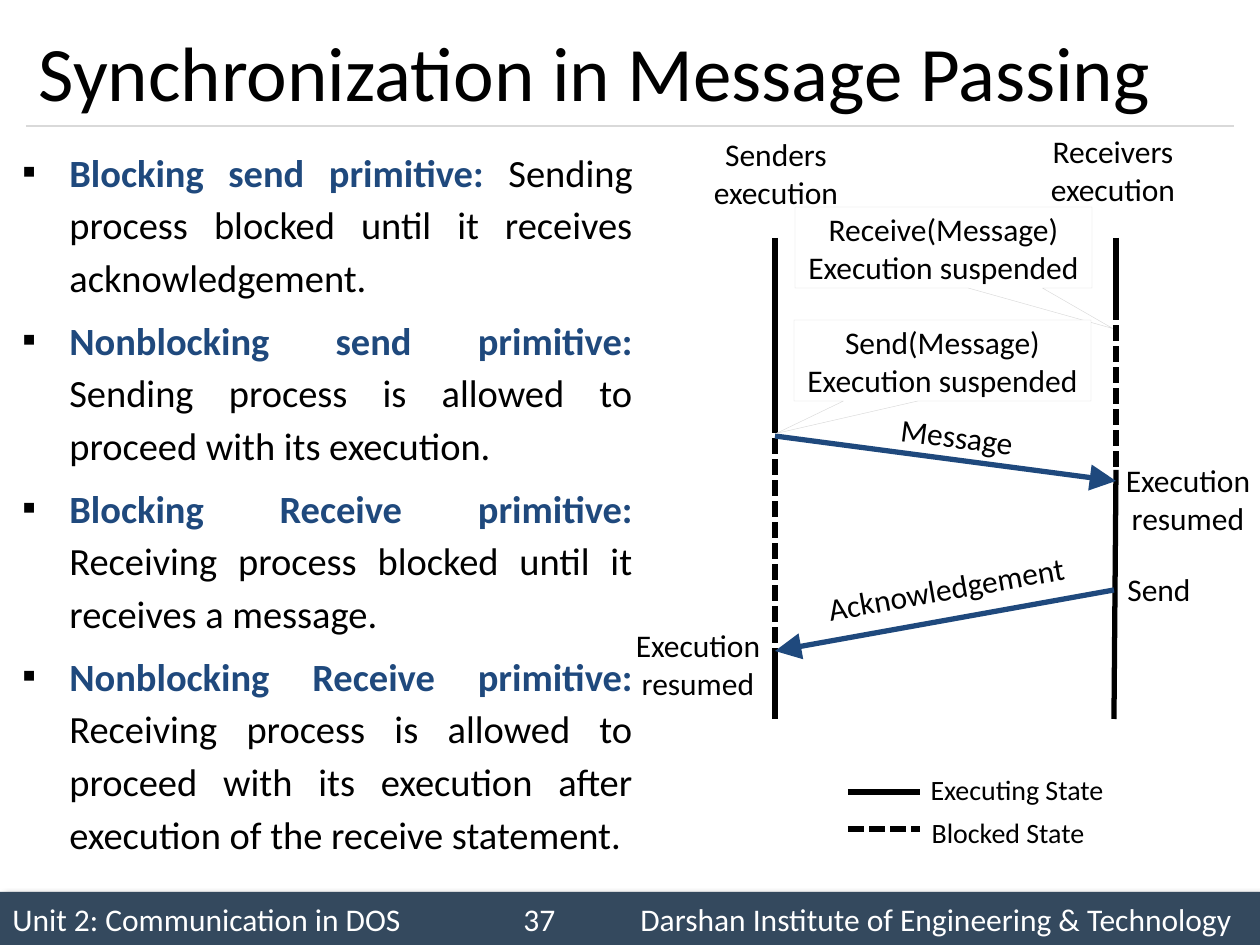
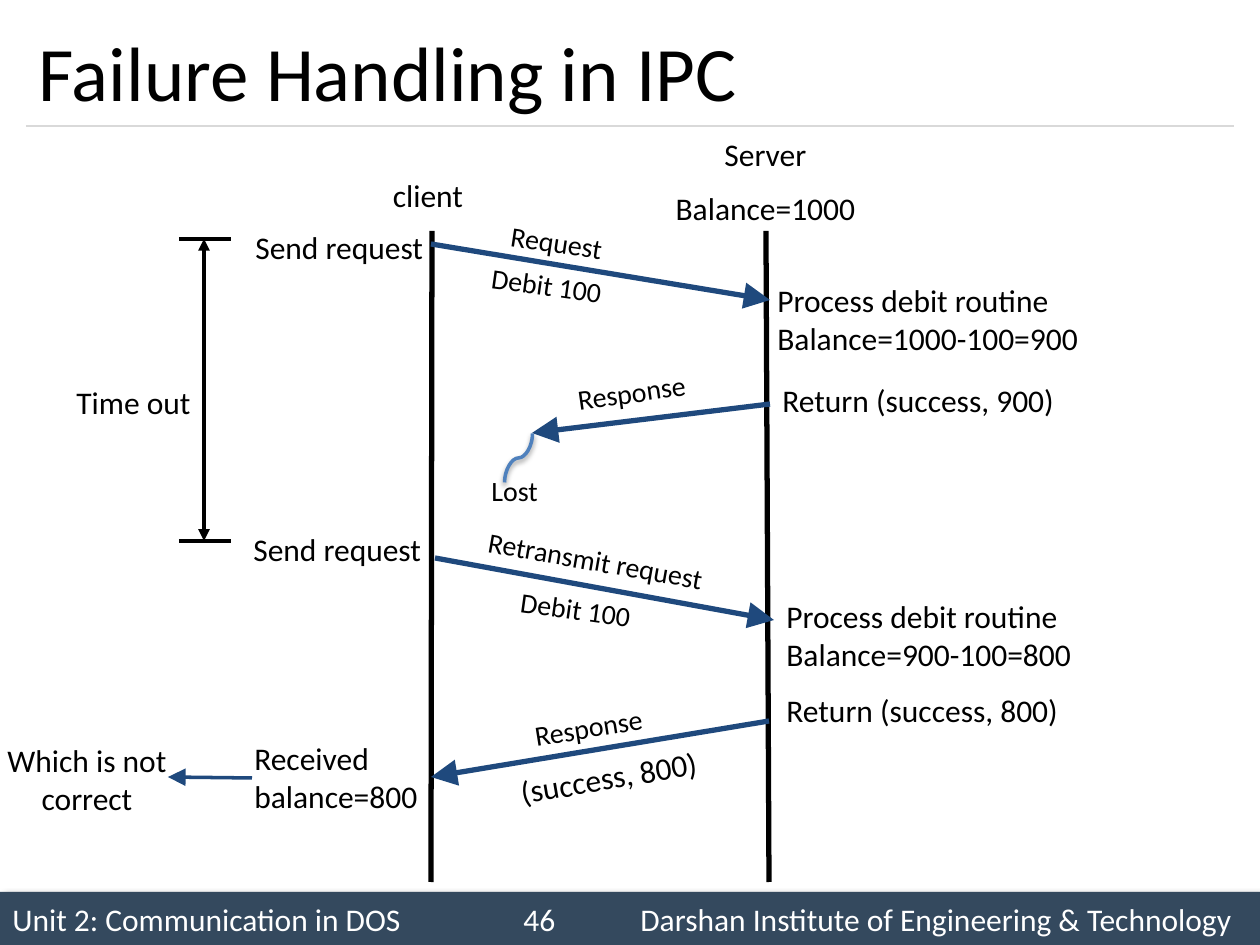
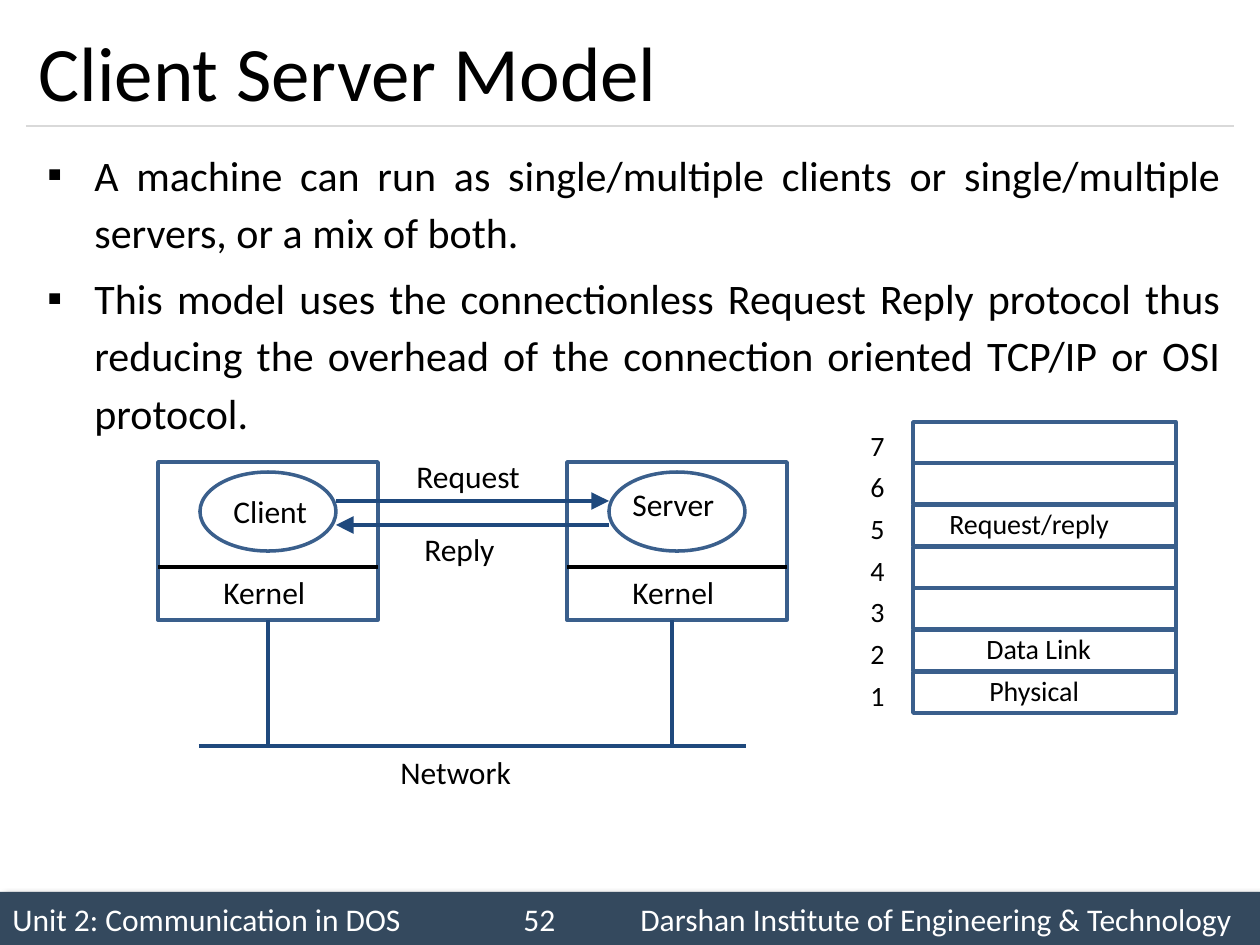
from dataclasses import dataclass
from typing import Any

import pptx
import pptx.dml.color
import pptx.enum.dml
import pptx.enum.shapes
import pptx.enum.text
import pptx.oxml
import pptx.oxml.ns
import pptx.util

RGBColor = pptx.dml.color.RGBColor
BLACK = RGBColor(0x00, 0x00, 0x00)
WHITE = RGBColor(0xFF, 0xFF, 0xFF)
BAND = RGBColor(0x34, 0x49, 0x5E)
RULE = RGBColor(0xD9, 0xD9, 0xD9)
NAVY = RGBColor(0x1F, 0x49, 0x7D)
OUTLINE = RGBColor(0x3A, 0x5F, 0x8C)
CURVE = RGBColor(0x4F, 0x81, 0xBD)

FONT = "Calibri"
UNIT = "Unit 2: Communication in DOS"
INSTITUTE = "Darshan Institute of Engineering & Technology"
SHAPE = pptx.enum.shapes.MSO_SHAPE
CONNECTOR = pptx.enum.shapes.MSO_CONNECTOR
ALIGN = pptx.enum.text.PP_ALIGN
MIDDLE = pptx.enum.text.MSO_ANCHOR.MIDDLE
DASH = pptx.enum.dml.MSO_LINE.SQUARE_DOT


def px(n):
    return round(n * 914400 / 126)


def add_xml(parent, xml):
    ns = pptx.oxml.ns.nsdecls("a")
    parent.append(pptx.oxml.parse_xml(xml.replace(" ", f" {ns} ", 1)))


def add_shadow(sp, blur, dist, degrees, alpha):
    spPr = sp._element.spPr
    for old in spPr.findall(pptx.oxml.ns.qn("a:effectLst")):
        spPr.remove(old)
    add_xml(spPr, f'<a:effectLst ><a:outerShdw blurRad="{round(blur * 12700)}" '
                  f'dist="{round(dist * 12700)}" dir="{degrees * 60000}" rotWithShape="0">'
                  f'<a:srgbClr val="000000"><a:alpha val="{alpha * 1000}"/></a:srgbClr>'
                  '</a:outerShdw></a:effectLst>')


def set_font(font, size, color=BLACK):
    font.name = FONT
    font.size = pptx.util.Pt(size)
    font.color.rgb = color


def write(tf, text, size, align, color=BLACK, gap=0, tabs=()):
    tf.word_wrap = True
    tf.text = text
    stops = "".join(f'<a:tab pos="{px(pos)}" algn="l"/>' for pos in tabs)
    for i, p in enumerate(tf.paragraphs):
        if stops:
            add_xml(p._p.get_or_add_pPr(), f"<a:tabLst >{stops}</a:tabLst>")
        p.alignment = align
        p.space_before = pptx.util.Pt(gap if i else 0)
        set_font(p.font, size, color)


@dataclass
class Region:
    slide: Any
    x: int
    y: int

    def at(self, x, y):
        return px(self.x + x), px(self.y + y)

    def label(self, text, x, y, w, h=50, size=18, align=ALIGN.CENTER, rot=0, gap=0):
        sp = self.slide.shapes.add_textbox(*self.at(x, y), px(w), px(h))
        sp.rotation = rot
        write(sp.text_frame, text, size, align, gap=gap)

    def left_label(self, text, x, y, w, h=50, size=18):
        self.label(text, x, y, w, h, size, ALIGN.LEFT)

    def shape(self, kind, x, y, w, h, fill=None, line=OUTLINE, width=2):
        sp = self.slide.shapes.add_shape(kind, *self.at(x, y), px(w), px(h))
        sp.shadow.inherit = False
        if fill is None:
            sp.fill.background()
        else:
            sp.fill.solid()
            sp.fill.fore_color.rgb = fill
        if line is None:
            sp.line.fill.background()
        else:
            sp.line.color.rgb = line
            sp.line.width = pptx.util.Pt(width)
        return sp

    def line(self, x1, y1, x2, y2, color=BLACK, width=3, dash=None, ends=(),
             head="med", kind=CONNECTOR.STRAIGHT):
        sp = self.slide.shapes.add_connector(kind, *self.at(x1, y1), *self.at(x2, y2))
        sp.line.color.rgb = color
        sp.line.width = pptx.util.Pt(width)
        if dash is not None:
            sp.line.dash_style = dash
        for end in ends:
            add_xml(sp.line._get_or_add_ln(),
                    f'<a:{end} type="triangle" w="{head}" len="{head}"/>')
        add_xml(sp._element.spPr, "<a:effectLst />")
        return sp

    def arrow(self, x1, y1, x2, y2, width=3):
        return self.line(x1, y1, x2, y2, NAVY, width, ends=("tailEnd",), head="lg")


def footer(slide, number):
    sp = Region(slide, 0, 892).shape(SHAPE.RECTANGLE, 0, 0, 1260, 53, BAND, None)
    add_shadow(sp, 4, 3, 45, 40)
    tf = sp.text_frame
    tf.vertical_anchor = MIDDLE
    write(tf, f"{UNIT}\t{number}\t{INSTITUTE}", 18, ALIGN.LEFT, WHITE, tabs=(511, 628))


def new_slide(prs, title, number):
    slide = prs.slides.add_slide(prs.slide_layouts[5])
    footer(slide, number)
    Region(slide, 26, 126).line(0, 0, 1208, 0, RULE, 0.75)
    sp = slide.shapes.title
    sp.left, sp.top, sp.width, sp.height = px(26), px(15), px(1208), px(111)
    tf = sp.text_frame
    tf.auto_size = pptx.enum.text.MSO_AUTO_SIZE.NONE
    tf.vertical_anchor = MIDDLE
    write(tf, title, 44, ALIGN.LEFT)
    return slide


def bullets(slide, x, y, w, h, items, size, gap):
    tf = slide.shapes.add_textbox(px(x), px(y), px(w), px(h)).text_frame
    tf.word_wrap = True
    for i, (lead, text) in enumerate(items):
        p = tf.add_paragraph() if i else tf.paragraphs[0]
        pPr = p._p.get_or_add_pPr()
        pPr.set("marL", str(px(47)))
        pPr.set("indent", str(px(-47)))
        add_xml(pPr, '<a:buClr ><a:srgbClr val="000000"/></a:buClr>')
        add_xml(pPr, f'<a:buFont typeface="{FONT}"/>')
        add_xml(pPr, '<a:buChar char="▪"/>')
        p.alignment = ALIGN.JUSTIFY
        p.line_spacing = 1.14
        p.space_before = pptx.util.Pt(gap if i else 0)
        set_font(p.font, size)
        if lead:
            r = p.add_run()
            r.text = lead + " "
            r.font.bold = True
            r.font.color.rgb = NAVY
        p.add_run().text = text


def callout(region, text, x, y, tip):
    sp = region.shape(SHAPE.RECTANGULAR_CALLOUT, x, y, 297, 81, WHITE, RULE, 0.25)
    sp.adjustments[0], sp.adjustments[1] = tip
    tf = sp.text_frame
    tf.vertical_anchor = MIDDLE
    tf.margin_left = tf.margin_right = px(8)
    write(tf, text, 18, ALIGN.CENTER)


def blocking_diagram(slide, x, y):
    d = Region(slide, x, y)
    sender, receiver = 175, 516
    d.label("Senders execution", 87, 3, 178, 89)
    d.label("Receivers execution", 424, 0, 178, 89)
    d.line(sender, 112, sender, 307)
    d.line(sender, 312, sender, 528, dash=DASH)
    d.line(sender, 528, sender, 593)
    d.line(receiver, 112, receiver, 178)
    d.line(receiver, 178, receiver, 344, dash=DASH)
    d.line(receiver, 344, receiver - 2, 593)
    d.arrow(sender, 310, receiver, 355)
    d.label("Message", 248, 285, 218, rot=7.4)
    d.arrow(receiver - 2, 464, sender, 525)
    d.label("Acknowledgement", 195, 437, 302, rot=-10.1)
    d.label("Execution resumed", 506, 329, 164, 89)
    d.label("Execution resumed", 16, 494, 164, 89)
    d.label("Send", 510, 438, 98)
    callout(d, "Receive(Message) Execution suspended", 195, 81, (0.57, 1))
    callout(d, "Send(Message) Execution suspended", 194, 194, (-0.56, 0.9))


def state_legend(slide, x, y):
    d = Region(slide, x, y)
    d.line(0, 26, 72, 26)
    d.label("Executing State", 34, 0, 270, 47, 16)
    d.line(0, 63, 72, 63, dash=DASH)
    d.label("Blocked State", 25, 43, 270, 47, 16)


def timeout_marker(slide, x, y):
    d = Region(slide, x, y)
    for bar in (0, 302):
        d.line(0, bar, 52, bar, width=2.25)
    d.line(25, 0, 25, 302, width=2.25, ends=("headEnd", "tailEnd"))
    d.left_label("Time out", -115, 138, 142)


def failure_diagram(slide, x, y):
    d = Region(slide, x, y)
    d.label("client", 339, 44, 178)
    d.label("Server\nBalance=1000", 638, 3, 255, 108, gap=9)
    d.line(432, 105, 431, 756)
    d.line(766, 105, 769, 756)

    for left, top in ((243, 96), (241, 398)):
        d.left_label("Send request", left, top, 238)
    for ends in ((431, 118, 770, 174), (770, 278, 532, 307),
                 (435, 432, 774, 494), (769, 595, 431, 651)):
        d.arrow(*ends)
    for text, left, top, w, rot in (
        ("Request", 454, 93, 205, 8.6),
        ("Debit 100", 444, 136, 205, 8),
        ("Response", 528, 243, 207, -8.1),
        ("Retransmit request", 462, 411, 267, 10),
        ("Debit 100", 473, 460, 205, 8),
        ("Response", 485, 578, 207, -9),
    ):
        d.label(text, left, top, w, 47, 16, rot=rot)
    d.label("(success, 800)", 502, 626, 213, rot=-9.7)

    lost = d.line(494, 318, 543, 346, CURVE, 2, kind=CONNECTOR.CURVE)
    lost._element.spPr.xfrm.set("rot", "5400000")
    add_shadow(lost, 3.1, 1.6, 90, 38)
    d.left_label("Lost", 479, 341, 118, 47, 16)

    d.left_label("Process debit routine\nBalance=1000-100=900", 765, 149, 340, 89)
    d.left_label("Return (success, 900)", 770, 249, 310)
    d.left_label("Process debit routine\nBalance=900-100=800", 774, 465, 340, 89)
    d.left_label("Return (success, 800)", 774, 559, 310)
    d.left_label("Received\nbalance=800", 242, 607, 200, 89)
    d.arrow(252, 652, 168, 651, 2)
    d.label("Which is not correct", -10, 609, 194, 89)


def machine(slide, x, y, name, name_x, name_y):
    d = Region(slide, x, y)
    box = d.shape(SHAPE.RECTANGLE, 0, 0, 220, 158)
    d.line(0, 105, 220, 105, width=2)
    d.shape(SHAPE.OVAL, 42, 10, 136, 79)
    d.left_label(name, name_x, name_y, 126)
    d.left_label("Kernel", 53, 105, 126)
    return box


def network_diagram(slide, x, y):
    client = machine(slide, x, y, "Client", 63, 24)
    machine(slide, x + 409, y, "Server", 53, 17)
    d = Region(slide, x, y)
    d.arrow(178, 39, 451, 39, 2)
    d.arrow(451, 63, 178, 63, 2)
    d.left_label("Request", 246, -11, 142)
    d.left_label("Reply", 254, 62, 126)
    drop = d.line(110, 158, 110, 284, NAVY, 2)
    drop.begin_connect(client, 2)
    d.line(514, 158, 514, 284, NAVY, 2)
    d.line(41, 284, 588, 284, NAVY, 2)
    d.left_label("Network", 230, 285, 142)


def layer_stack(slide, x, y):
    d = Region(slide, x, y)
    names = {5: ("Request/reply", 79), 2: ("Data Link", 116), 1: ("Physical", 119)}
    for i in range(7):
        top, level = i * 250 // 6, 7 - i
        d.shape(SHAPE.RECTANGLE, 55, top, 263, 41)
        d.left_label(str(level), 0, top, 37, 47, 16)
        if level in names:
            name, left = names[level]
            d.left_label(name, left, top - 5, 214, 47, 16)


def main():
    prs = pptx.Presentation()
    prs.slide_width, prs.slide_height = px(1260), px(945)

    slide = new_slide(prs, "Synchronization in Message Passing", 37)
    bullets(slide, 10, 136, 635, 735, [
        ("Blocking send primitive:",
         "Sending process blocked until it receives acknowledgement."),
        ("Nonblocking send primitive:",
         "Sending process is allowed to proceed with its execution."),
        ("Blocking Receive primitive:",
         "Receiving process blocked until it receives a message."),
        ("Nonblocking Receive primitive:",
         "Receiving process is allowed to proceed with its execution after "
         "execution of the receive statement."),
    ], 22, 5.8)
    blocking_diagram(slide, 600, 126)
    state_legend(slide, 848, 766)

    slide = new_slide(prs, "Failure Handling in IPC", 46)
    failure_diagram(slide, 0, 126)
    timeout_marker(slide, 179, 239)

    slide = new_slide(prs, "Client Server Model", 52)
    bullets(slide, 35, 136, 1198, 735, [
        ("", "A machine can run as single/multiple clients or single/multiple "
             "servers, or a mix of both."),
        ("", "This model uses the connectionless Request Reply protocol thus reducing "
             "the overhead of the connection oriented TCP/IP or OSI protocol."),
    ], 24, 4.8)
    network_diagram(slide, 158, 462)
    layer_stack(slide, 858, 422)

    prs.save("out.pptx")


if __name__ == "__main__":
    main()
